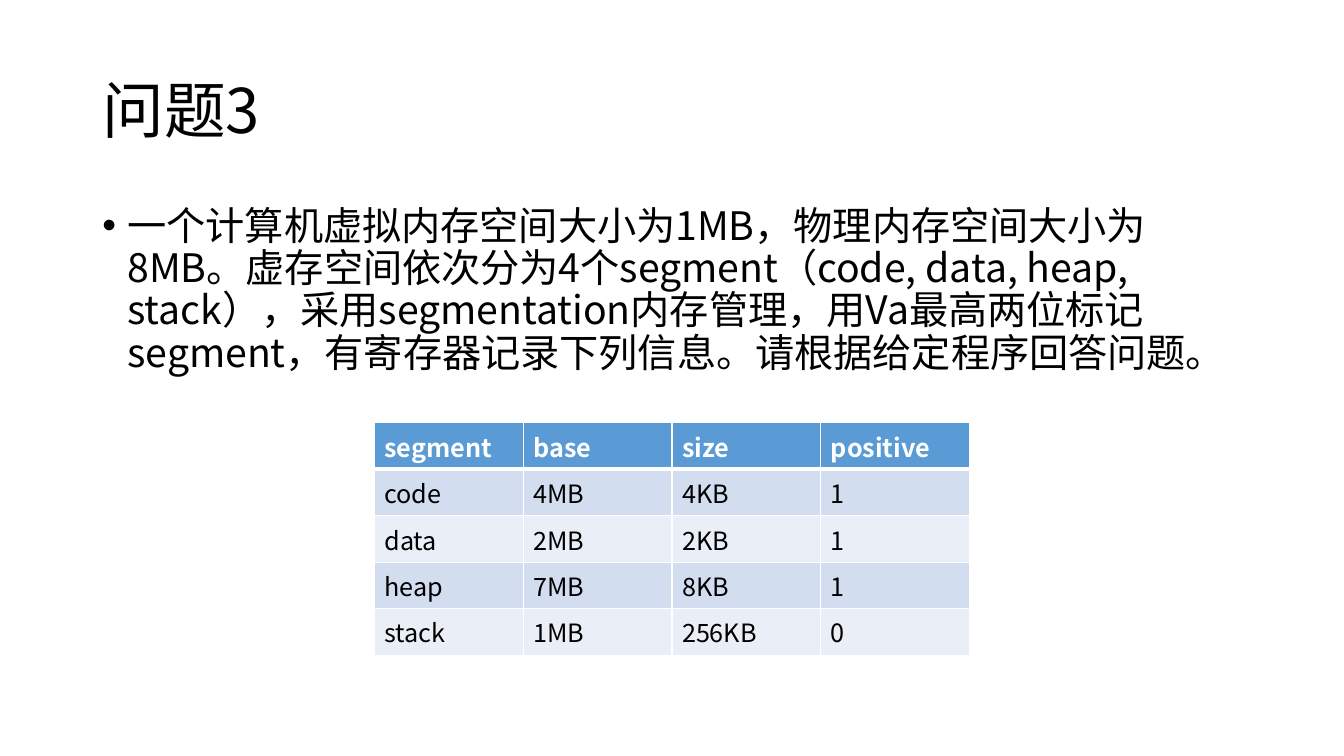
from lxml.etree import SubElement, fromstring
from pptx import Presentation
from pptx.dml.color import RGBColor
from pptx.enum.text import MSO_ANCHOR, MSO_AUTO_SIZE, PP_ALIGN
from pptx.oxml.ns import nsdecls, qn
from pptx.util import Pt

FONT = "Noto Sans CJK SC"
COLORS = {
    "text": "000000",
    "white": "FFFFFF",
    "header": "5B9BD5",
    "odd": "D2DEEF",
    "even": "EAEFF7",
}


def write_text(frame, text, size, color="text", bold=False, spacing=1.0, before=0):
    paragraph = frame.paragraphs[0]
    paragraph.alignment = PP_ALIGN.LEFT
    paragraph.line_spacing = spacing
    paragraph.space_before = Pt(before)
    run = paragraph.add_run()
    run.text = text
    run.font.size = Pt(size)
    run.font.bold = bold
    run.font.color.rgb = RGBColor.from_string(COLORS[color])
    run.font.name = FONT
    SubElement(run.font._element, qn("a:ea"), typeface=FONT)
    return paragraph


def set_borders(cell, **widths):
    properties = cell._tc.get_or_add_tcPr()
    for position, (side, width) in enumerate(widths.items()):
        line = fromstring(
            f'<a:ln{side} {nsdecls("a")} w="{Pt(width)}"><a:solidFill>'
            f'<a:srgbClr val="{COLORS["white"]}"/></a:solidFill></a:ln{side}>'
        )
        properties.insert(position, line)


presentation = Presentation()
presentation.slide_width = Pt(960)
presentation.slide_height = Pt(540)
slide = presentation.slides.add_slide(presentation.slide_layouts[5])

# Title
title = slide.shapes.title
title.left, title.top, title.width, title.height = Pt(66), Pt(28.75), Pt(828), Pt(104.4)
title.text_frame.vertical_anchor = MSO_ANCHOR.MIDDLE
title.text_frame.auto_size = MSO_AUTO_SIZE.NONE
write_text(title.text_frame, "问题3", size=44, spacing=0.9)

# Question with a bullet
question = slide.shapes.add_textbox(Pt(66), Pt(143.75), Pt(828), Pt(342.6))
question.text_frame.word_wrap = True
paragraph = write_text(
    question.text_frame,
    "一个计算机虚拟内存空间大小为1MB，物理内存空间大小为8MB。"
    "虚存空间依次分为4个segment（code, data, heap, stack），"
    "采用segmentation内存管理，用Va最高两位标记segment，"
    "有寄存器记录下列信息。请根据给定程序回答问题。",
    size=28, spacing=0.9, before=10,
)
paragraph_properties = paragraph._p.get_or_add_pPr()
paragraph_properties.set("marL", str(Pt(18)))
paragraph_properties.set("indent", str(Pt(-18)))
SubElement(paragraph_properties, qn("a:buFont"), typeface="Arial")
SubElement(paragraph_properties, qn("a:buChar"), char="•")

# Segment table
segments = [
    ("segment", "base", "size", "positive"),
    ("code", "4MB", "4KB", "1"),
    ("data", "2MB", "2KB", "1"),
    ("heap", "7MB", "8KB", "1"),
    ("stack", "1MB", "256KB", "0"),
]
table = slide.shapes.add_table(
    len(segments), len(segments[0]), Pt(267.4), Pt(302), Pt(425.2), Pt(166)
).table
for row_number, segment in enumerate(segments):
    table.rows[row_number].height = Pt(33.2)
    is_header = row_number == 0
    fill = "header" if is_header else "odd" if row_number % 2 else "even"
    for column_number, value in enumerate(segment):
        cell = table.cell(row_number, column_number)
        cell.fill.solid()
        cell.fill.fore_color.rgb = RGBColor.from_string(COLORS[fill])
        set_borders(cell, L=1, R=1, T=3 if row_number == 1 else 1, B=3 if is_header else 1)
        write_text(cell.text_frame, value, size=18,
                   color="white" if is_header else "text", bold=is_header)

presentation.save("out.pptx")
